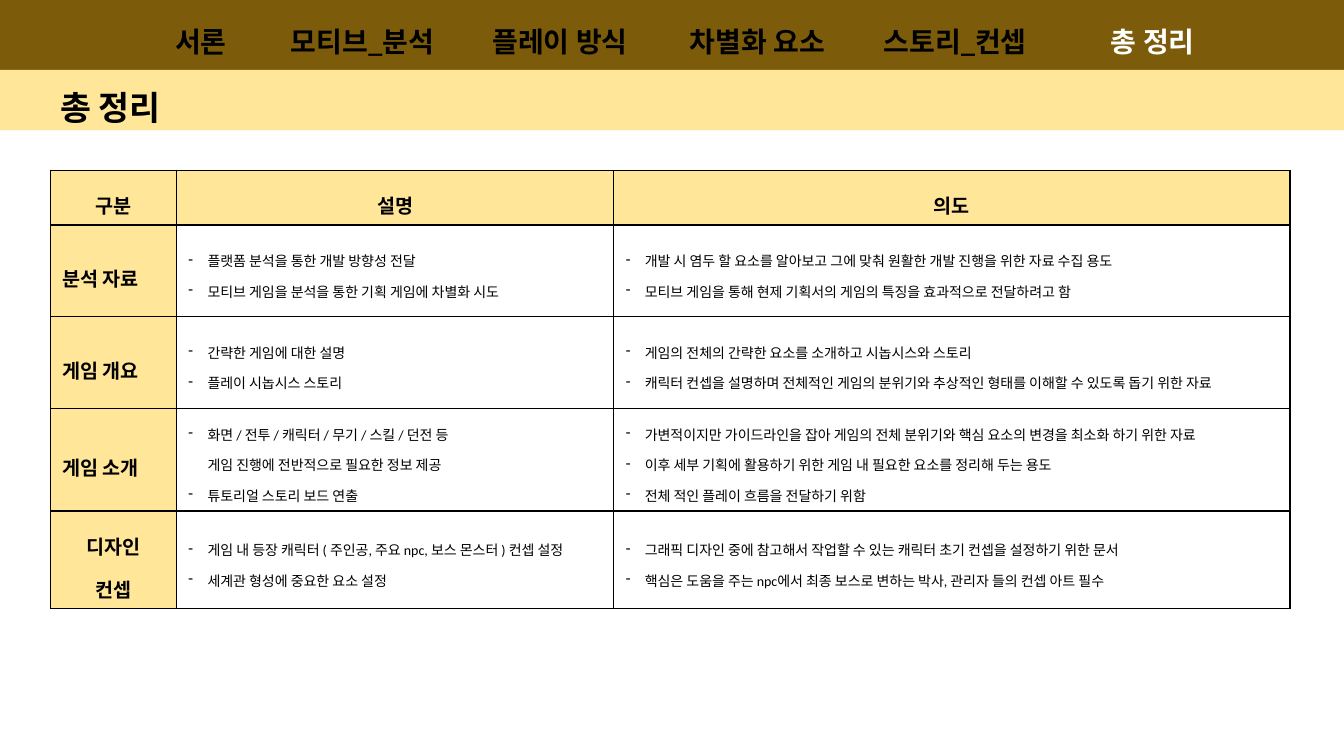
from copy import deepcopy

from lxml.etree import SubElement
from pptx import Presentation
from pptx.dml.color import RGBColor
from pptx.enum.shapes import MSO_SHAPE as Preset
from pptx.enum.text import MSO_ANCHOR as Anchor, MSO_AUTO_SIZE as AutoSize, PP_ALIGN as Align
from pptx.oxml import parse_xml
from pptx.oxml.ns import nsdecls, qn
from pptx.util import Cm, Pt

FONT = "Calibri"
COLORS = {"brown": "7C5B0A", "cream": "FFE699", "black": "000000", "white": "FFFFFF"}

TITLE = "총 정리"
SECTIONS = ["서론", "모티브_분석", "플레이 방식", "차별화 요소", "스토리_컨셉", "총 정리"]
CURRENT_SECTION = "총 정리"
HEADERS = ["구분", "설명", "의도"]
ROWS = [
    ("분석 자료", Align.LEFT,
     ["플랫폼 분석을 통한 개발 방향성 전달",
      "모티브 게임을 분석을 통한 기획 게임에 차별화 시도"],
     ["개발 시 염두 할 요소를 알아보고 그에 맞춰 원활한 개발 진행을 위한 자료 수집 용도",
      "모티브 게임을 통해 현제 기획서의 게임의 특징을 효과적으로 전달하려고 함"]),
    ("게임 개요", Align.LEFT,
     ["간략한 게임에 대한 설명",
      "플레이 시놉시스 스토리"],
     ["게임의 전체의 간략한 요소를 소개하고 시놉시스와 스토리",
      "캐릭터 컨셉을 설명하며 전체적인 게임의 분위기와 추상적인 형태를 이해할 수 있도록 돕기 위한 자료"]),
    ("게임 소개", Align.LEFT,
     ["화면 / 전투 / 캐릭터 / 무기 / 스킬 / 던전 등\n게임 진행에 전반적으로 필요한 정보 제공",
      "튜토리얼 스토리 보드 연출"],
     ["가변적이지만 가이드라인을 잡아 게임의 전체 분위기와 핵심 요소의 변경을 최소화 하기 위한 자료",
      "이후 세부 기획에 활용하기 위한 게임 내 필요한 요소를 정리해 두는 용도",
      "전체 적인 플레이 흐름을 전달하기 위함"]),
    ("디자인\n컨셉", Align.CENTER,
     ["게임 내 등장 캐릭터 ( 주인공, 주요 npc, 보스 몬스터 ) 컨셉 설정",
      "세계관 형성에 중요한 요소 설정"],
     ["그래픽 디자인 중에 참고해서 작업할 수 있는 캐릭터 초기 컨셉을 설정하기 위한 문서",
      "핵심은 도움을 주는 npc에서 최종 보스로 변하는 박사, 관리자 들의 컨셉 아트 필수"]),
]

SLIDE_WIDTH, SLIDE_HEIGHT = 33.87, 19.05
BARS = [("brown", 0, 1.8), ("cream", 1.76, 1.52)]
COLUMN_WIDTHS = [3.18, 11.02, 17.04]
HEADER_HEIGHT, ROW_HEIGHT = 1.27, 2.31
FIRST_TAB_LEFT, SECOND_TAB_LEFT, TAB_STEP = 2.74, 6.81, 4.98
BULLET_INDENT = 0.48


def rgb(name):
    return RGBColor.from_string(COLORS[name])


def write(frame, lines, size, color="black", bold=True, align=Align.LEFT, bullet=None):
    """Fill a text frame, one paragraph per line; a newline inside a line is a soft break."""
    frame.word_wrap = True
    for index, line in enumerate(lines):
        paragraph = frame.paragraphs[0] if index == 0 else frame.add_paragraph()
        paragraph.text = line
        paragraph.alignment = align
        if bullet:
            properties = paragraph._p.get_or_add_pPr()
            properties.set("marL", str(Cm(BULLET_INDENT)))
            properties.set("indent", str(-Cm(BULLET_INDENT)))
            SubElement(properties, qn("a:buChar")).set("char", bullet)
        paragraph.line_spacing = 1.5
        for run in paragraph.runs:
            run.font.name = FONT
            run.font.size = Pt(size)
            run.font.bold = bold
            run.font.color.rgb = rgb(color)
        for line_break in paragraph._p.findall(qn("a:br")):
            line_break.append(deepcopy(paragraph.runs[0].font._element))


def add_bars(slide):
    """Place the colour bars behind the title."""
    for index, (color, top, height) in enumerate(BARS):
        bar = slide.shapes.add_shape(Preset.RECTANGLE, 0, Cm(top), Cm(SLIDE_WIDTH), Cm(height))
        bar.shadow.inherit = False
        bar.fill.solid()
        bar.fill.fore_color.rgb = rgb(color)
        bar.line.fill.background()
        slide.shapes._spTree.insert(2 + index, bar._element)


def set_title(slide):
    title = slide.shapes.title
    title.left, title.top, title.width, title.height = Cm(1.27), Cm(1.78), Cm(29.21), Cm(1.32)
    title.text_frame.auto_size = AutoSize.NONE
    title.text_frame.vertical_anchor = Anchor.MIDDLE
    write(title.text_frame, [TITLE], size=24)


def style_cell(cell, fill):
    cell.vertical_anchor = Anchor.MIDDLE
    cell.margin_left = cell.margin_right = Cm(0.3)
    cell.margin_top = cell.margin_bottom = Cm(0.15)
    cell.fill.solid()
    cell.fill.fore_color.rgb = rgb(fill)
    properties = cell._tc.get_or_add_tcPr()
    for index, side in enumerate("LRTB"):
        properties.insert(index, parse_xml(
            f'<a:ln{side} {nsdecls("a")} w="{Pt(1)}"><a:solidFill>'
            f'<a:srgbClr val="{COLORS["black"]}"/></a:solidFill></a:ln{side}>'))


def add_summary_table(slide):
    height = HEADER_HEIGHT + ROW_HEIGHT * len(ROWS)
    table = slide.shapes.add_table(
        len(ROWS) + 1, len(HEADERS), Cm(1.27), Cm(4.29), Cm(sum(COLUMN_WIDTHS)), Cm(height)).table
    for column, width in zip(table.columns, COLUMN_WIDTHS):
        column.width = Cm(width)
    for index, row in enumerate(table.rows):
        row.height = Cm(ROW_HEIGHT if index else HEADER_HEIGHT)
        for position, cell in enumerate(row.cells):
            style_cell(cell, "cream" if index == 0 or position == 0 else "white")
    for position, header in enumerate(HEADERS):
        write(table.cell(0, position).text_frame, [header], size=14, align=Align.CENTER)
    for index, (label, align, *details) in enumerate(ROWS, start=1):
        write(table.cell(index, 0).text_frame, [label], size=14, align=align)
        for position, lines in enumerate(details, start=1):
            write(table.cell(index, position).text_frame, lines, size=10, bold=False, bullet="-")


def add_section_tabs(slide):
    for index, section in enumerate(SECTIONS):
        left = SECOND_TAB_LEFT + TAB_STEP * (index - 1) if index else FIRST_TAB_LEFT
        tab = slide.shapes.add_textbox(Cm(left), Cm(0.13), Cm(4.65), Cm(1.4))
        tab.text_frame.vertical_anchor = Anchor.MIDDLE
        write(tab.text_frame, [section], size=20, align=Align.CENTER,
              color="white" if section == CURRENT_SECTION else "black")


def main():
    presentation = Presentation()
    presentation.slide_width, presentation.slide_height = Cm(SLIDE_WIDTH), Cm(SLIDE_HEIGHT)
    slide = presentation.slides.add_slide(presentation.slide_layouts[5])
    add_bars(slide)
    set_title(slide)
    add_summary_table(slide)
    add_section_tabs(slide)
    presentation.save("out.pptx")


if __name__ == "__main__":
    main()
